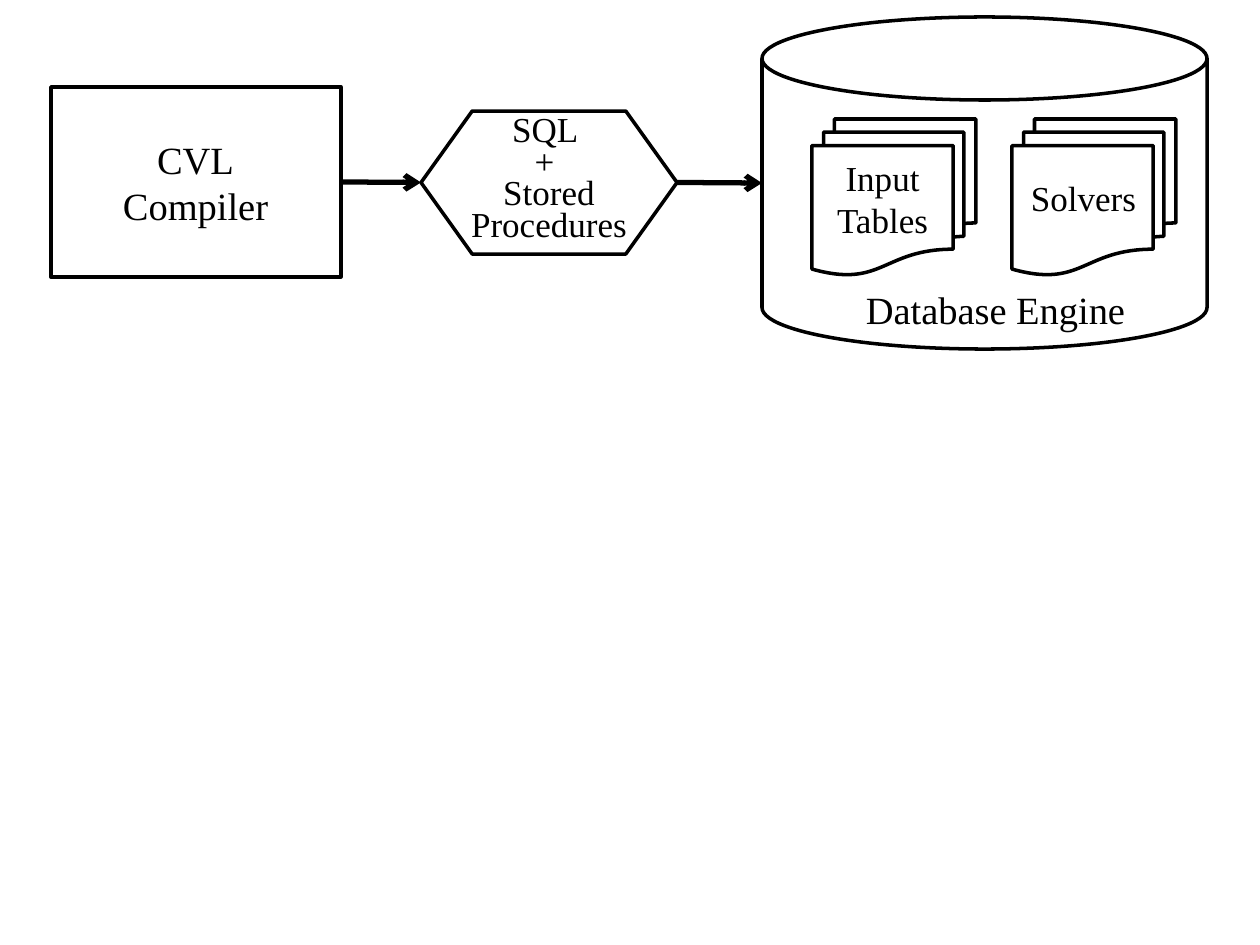
from dataclasses import dataclass
from typing import Optional

from lxml.etree import SubElement
from pptx import Presentation
from pptx.dml.color import RGBColor
from pptx.enum.shapes import MSO_CONNECTOR, MSO_SHAPE
from pptx.enum.text import MSO_AUTO_SIZE, PP_ALIGN
from pptx.oxml.ns import qn
from pptx.util import Emu, Pt

PX_PER_INCH = 126
BLACK = RGBColor(0x00, 0x00, 0x00)
FONT = "Times New Roman"


@dataclass(frozen=True)
class Box:
    left: int
    top: int
    width: int
    height: int

    def to_emu(self) -> list[Emu]:
        return [px(n) for n in (self.left, self.top, self.width, self.height)]


@dataclass(frozen=True)
class Label:
    lines: tuple[str, ...]
    box: Box
    size: int
    wrap: bool = False
    line_spacing: Optional[int] = None


COMPILER = Box(51, 87, 290, 190)
SCRIPTS = Box(421, 111, 256, 143)
ENGINE = Box(762, 17, 445, 332)
INPUT_TABLES = Box(812, 119, 164, 156)
SOLVERS = Box(1012, 119, 164, 156)

LABELS = (
    Label(("CVL", "Compiler"), Box(109, 130, 173, 106), 22),
    Label(("Database Engine",), Box(852, 280, 287, 59), 22),
    Label(("Solvers",), Box(1018, 170, 131, 55), 20),
    Label(("Input", "Tables"), Box(824, 150, 117, 97), 20),
    Label(("SQL ", "+ ", "Stored Procedures"), Box(442, 112, 214, 141), 20,
          wrap=True, line_spacing=18),
)


def px(length: int) -> Emu:
    return Emu(round(length * 914400 / PX_PER_INCH))


def add_outline(slide, kind: MSO_SHAPE, box: Box):
    """Add an unfilled preset shape with a black border."""
    shape = slide.shapes.add_shape(kind, *box.to_emu())
    shape.shadow.inherit = False
    shape.fill.background()
    shape.line.color.rgb = BLACK
    shape.line.width = Pt(2)
    return shape


def add_text(slide, lines: tuple[str, ...], box: Box, *, size: int,
             wrap: bool = False, line_spacing: Optional[int] = None) -> None:
    frame = slide.shapes.add_textbox(*box.to_emu()).text_frame
    frame.word_wrap = wrap
    frame.auto_size = MSO_AUTO_SIZE.SHAPE_TO_FIT_TEXT
    frame.text = "\n".join(lines)
    for paragraph in frame.paragraphs:
        paragraph.alignment = PP_ALIGN.CENTER
        if line_spacing:
            paragraph.line_spacing = Pt(line_spacing)
        font = paragraph.runs[0].font
        font.name, font.size = FONT, Pt(size)
        font.color.rgb = BLACK


def add_arrow(slide, start: tuple[int, int], end: tuple[int, int]):
    connector = slide.shapes.add_connector(
        MSO_CONNECTOR.STRAIGHT, *map(px, start + end))
    connector.line.color.rgb = BLACK
    connector.line.width = Pt(3)
    SubElement(connector.line._get_or_add_ln(), qn("a:tailEnd"), type="arrow")
    SubElement(connector._element.spPr, qn("a:effectLst"))
    return connector


def main() -> None:
    presentation = Presentation()
    presentation.slide_width = px(10 * PX_PER_INCH)
    presentation.slide_height = px(945)
    slide = presentation.slides.add_slide(presentation.slide_layouts[6])

    compiler = add_outline(slide, MSO_SHAPE.RECTANGLE, COMPILER)
    add_outline(slide, MSO_SHAPE.CAN, ENGINE)
    for documents in (SOLVERS, INPUT_TABLES):
        add_outline(slide, MSO_SHAPE.FLOWCHART_MULTIDOCUMENT, documents)
    scripts = add_outline(slide, MSO_SHAPE.FLOWCHART_PREPARATION, SCRIPTS)

    for label in LABELS:
        add_text(slide, label.lines, label.box, size=label.size,
                 wrap=label.wrap, line_spacing=label.line_spacing)

    to_scripts = add_arrow(slide, (341, 182), (421, 182))
    to_scripts.begin_connect(compiler, 3)
    to_scripts.end_connect(scripts, 1)
    to_engine = add_arrow(slide, (677, 182), (762, 183))
    to_engine.begin_connect(scripts, 3)

    presentation.save("out.pptx")


if __name__ == "__main__":
    main()
